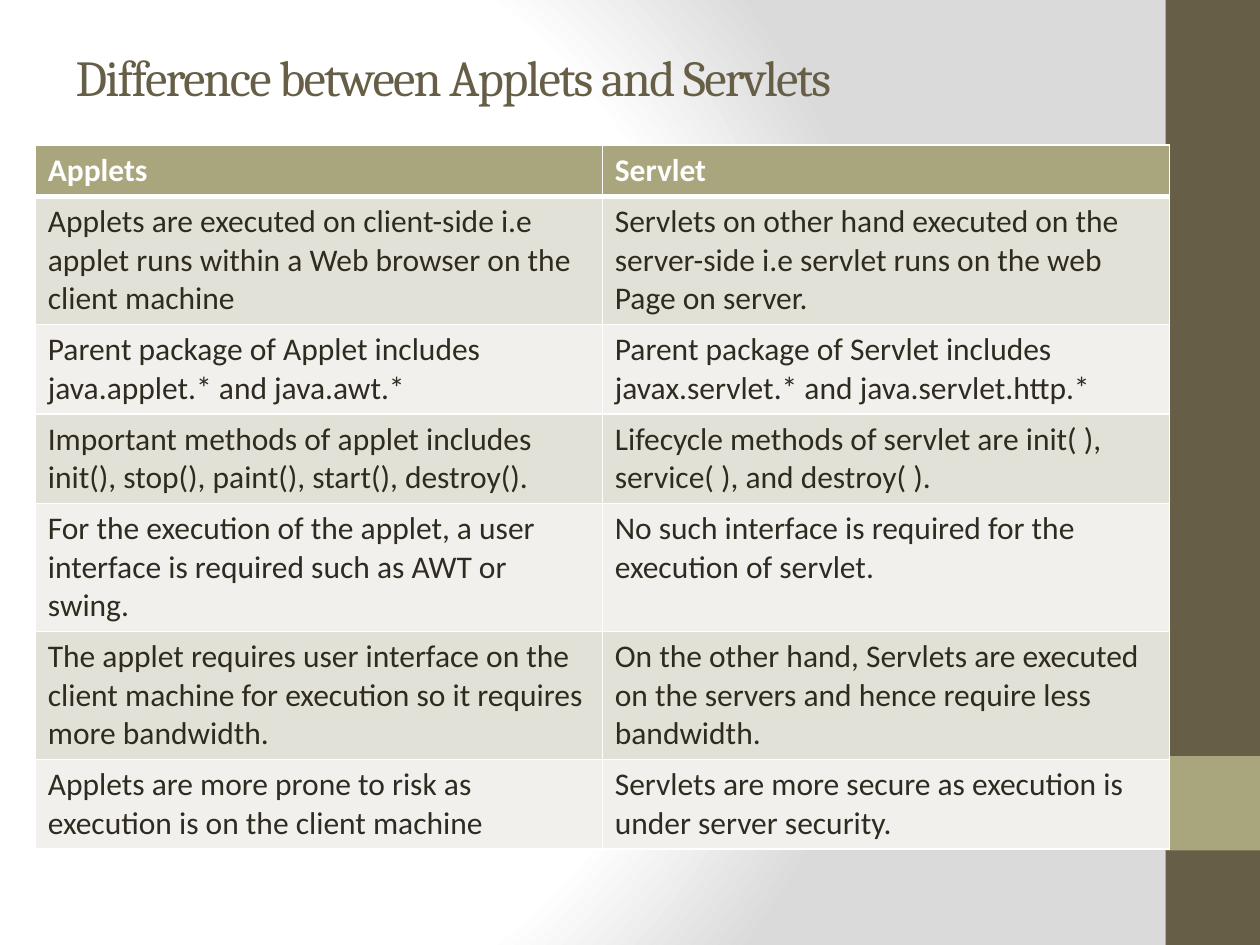
"""Builds a slide that compares applets and servlets in a table."""
from lxml import etree
from pptx import Presentation
from pptx import util as u
from pptx.dml import color
from pptx.enum import shapes, text
from pptx.oxml import ns

COLORS = {
    "brown": "675E47", "olive": "A9A57C", "ink": "2F2B20", "white": "FFFFFF",
    "gray": "DADADA", "band": "E2E1D7", "pale": "F1F0EC",
}
COMPARISON = [
    ("Applets", "Servlet"),
    ("Applets are executed on client-side i.e applet runs within a Web browser on the client machine",
     "Servlets on other hand executed on the server-side i.e servlet runs on the web Page on server."),
    ("Parent package of Applet includes java.applet.* and java.awt.*",
     "Parent package of Servlet includes javax.servlet.* and java.servlet.http.*"),
    ("Important methods of applet includes init(), stop(), paint(), start(), destroy().",
     "Lifecycle methods of servlet are init( ), service( ), and destroy( )."),
    ("For the execution of the applet, a user interface is required such as AWT or swing.",
     "No such interface is required for the execution of servlet."),
    ("The applet requires user interface on the client machine for execution so it requires more bandwidth.",
     "On the other hand, Servlets are executed on the servers and hence require less bandwidth."),
    ("Applets are more prone to risk as execution is on the client machine",
     "Servlets are more secure as execution is under server security."),
]


def rgb(name):
    """Return the named colour."""
    return color.RGBColor.from_string(COLORS[name])


class SlideBuilder:
    """Holds the style and the current slide."""

    heading_font = "Cambria"
    body_font = "Calibri"

    def __init__(self, slide):
        """Keep the slide to draw on."""
        self.slide = slide

    def background(self, stops, focus):
        """Fill the background with a circular gradient."""
        fill = self.slide.background.fill
        fill.gradient()
        gradient = self.slide.background._cSld.bg.find(".//" + ns.qn("a:gradFill"))
        for child in list(gradient):
            gradient.remove(child)
        stop_list = etree.SubElement(gradient, ns.qn("a:gsLst"))
        for position, name in stops:
            stop = etree.SubElement(stop_list, ns.qn("a:gs"), pos=str(position * 1000))
            etree.SubElement(stop, ns.qn("a:srgbClr"), val=COLORS[name])
        circle = etree.SubElement(gradient, ns.qn("a:path"), path="circle")
        edges = {side: str(share * 1000) for side, share in zip("ltrb", focus)}
        etree.SubElement(circle, ns.qn("a:fillToRect"), **edges)

    def bar(self, left, top, width, height, fill):
        """Add a plain rectangle."""
        bar = self.slide.shapes.add_shape(
            shapes.MSO_SHAPE.RECTANGLE, *map(u.Inches, (left, top, width, height)))
        bar.shadow.inherit = False
        bar.fill.solid()
        bar.fill.fore_color.rgb = rgb(fill)
        bar.line.fill.background()

    def run(self, paragraph, words, font, size, fill, bold=False):
        """Add one formatted run."""
        run = paragraph.add_run()
        run.text = words
        run.font.name, run.font.size, run.font.bold = font, u.Pt(size), bold
        run.font.color.rgb = rgb(fill)
        return run

    def title(self, words, left, top, width, height):
        """Place and fill the title placeholder."""
        title = self.slide.shapes.title
        title.left, title.top, title.width, title.height = map(
            u.Inches, (left, top, width, height))
        frame = title.text_frame
        frame.auto_size = text.MSO_AUTO_SIZE.NONE
        frame.vertical_anchor = text.MSO_ANCHOR.MIDDLE
        paragraph = frame.paragraphs[0]
        paragraph.alignment = text.PP_ALIGN.LEFT
        run = self.run(paragraph, words, self.heading_font, 28.8, "brown")
        run.font._element.set("spc", "-100")

    def borders(self, cell, widths):
        """Draw white borders with the given widths in points."""
        properties = cell._tc.get_or_add_tcPr()
        for index, (side, width) in enumerate(widths.items()):
            line = etree.Element(ns.qn("a:ln" + side), w=str(u.Pt(width)))
            solid = etree.SubElement(line, ns.qn("a:solidFill"))
            etree.SubElement(solid, ns.qn("a:srgbClr"), val=COLORS["white"])
            properties.insert(index, line)

    def table(self, rows, left, top, width, height, row_height):
        """Add a table with a header and banded rows."""
        frame = self.slide.shapes.add_table(
            len(rows), len(rows[0]), *map(u.Inches, (left, top, width, height)))
        for index, row in enumerate(rows):
            header = index == 0
            frame.table.rows[index].height = u.Inches(row_height)
            fill = "olive" if header else "band" if index % 2 else "pale"
            for column, words in enumerate(row):
                cell = frame.table.cell(index, column)
                cell.fill.solid()
                cell.fill.fore_color.rgb = rgb(fill)
                self.borders(cell, {"L": 1, "R": 1, "T": 3 if index == 1 else 1,
                                    "B": 3 if header else 1})
                self.run(cell.text_frame.paragraphs[0], words, self.body_font, 18,
                         "white" if header else "ink", header)
        frame.height = u.Inches(height)


deck = Presentation()
deck.slide_width, deck.slide_height = u.Inches(10), u.Inches(7.5)
builder = SlideBuilder(deck.slides.add_slide(deck.slide_layouts[5]))
builder.background([(0, "white"), (75, "white"), (100, "gray")], (20, 50, 100, 50))
builder.bar(9.25, 0, 0.75, 7.5, "brown")
builder.bar(9.25, 6, 0.75, 0.75, "olive")
builder.title("Difference between Applets and Servlets", 0.5, 0.3, 9, 0.61)
builder.table(COMPARISON, 0.28, 1.15, 9, 5.51, 0.41)
deck.save("out.pptx")
